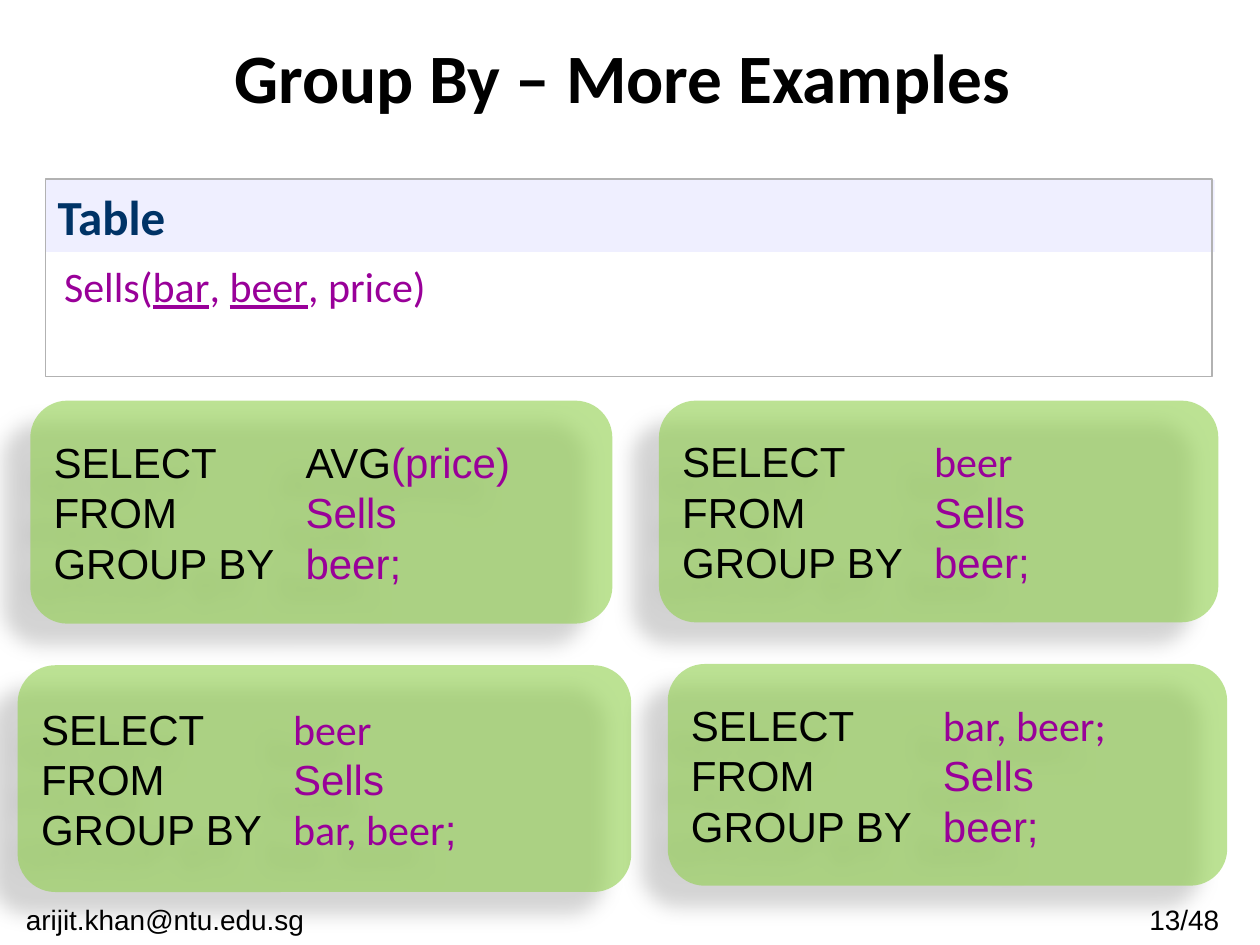
from dataclasses import dataclass

from lxml import etree
from pptx import Presentation
from pptx.dml.color import RGBColor
from pptx.enum.shapes import MSO_SHAPE as Preset
from pptx.enum.text import MSO_ANCHOR as Anchor, PP_ALIGN as Align
from pptx.oxml.ns import qn
from pptx.util import Inches, Pt

BLACK, PURPLE, NAVY = "000000", "990099", "003366"
GREEN, LAVENDER, GREY = "92D050", "EFEFFF", "B2B2B2"
SANS, BODY = "Arial", "Calibri"


@dataclass
class Run:
    text: str
    color: str = PURPLE
    font: str = SANS
    underline: bool = False


@dataclass
class Query:
    box: tuple[float, float, float, float]
    select: list[Run]
    group_by: list[Run]


def rgb(color: str) -> RGBColor:
    return RGBColor.from_string(color)


def write(paragraph, text: str, *, size=24, font=SANS, color=BLACK,
          bold=False, underline=False, align=Align.LEFT) -> None:
    paragraph.alignment = align
    run = paragraph.add_run()
    run.text = text
    run.font.size = Pt(size)
    run.font.name = font
    run.font.bold = bold
    run.font.underline = underline
    run.font.color.rgb = rgb(color)


def write_runs(paragraph, runs: list[Run]) -> None:
    for run in runs:
        write(paragraph, run.text, font=run.font, color=run.color, underline=run.underline)


def add_text_box(slide, box, anchor=Anchor.TOP):
    """Add a wrapping text box and return its first paragraph."""
    frame = slide.shapes.add_textbox(*map(Inches, box)).text_frame
    frame.word_wrap = True
    frame.vertical_anchor = anchor
    return frame.paragraphs[0]


def add_box(slide, preset, box, fill=None, line=None):
    shape = slide.shapes.add_shape(preset, *map(Inches, box))
    shape.shadow.inherit = False
    if fill:
        shape.fill.solid()
        shape.fill.fore_color.rgb = rgb(fill)
    else:
        shape.fill.background()
    if line:
        shape.line.color.rgb = rgb(line)
        shape.line.width = Pt(0.75)
    else:
        shape.line.fill.background()
    return shape


def add_alpha(color_element, percent: int) -> None:
    etree.SubElement(color_element, qn("a:alpha"), val=str(percent * 1000))


def soften(shape) -> None:
    """Make the fill translucent and cast a shadow to the lower left."""
    properties = shape._element.spPr
    add_alpha(properties.find(qn("a:solidFill"))[0], 61)
    shadow = etree.SubElement(
        properties.find(qn("a:effectLst")), qn("a:outerShdw"),
        blurRad=str(Pt(11.8)), dist=str(Pt(19.7)), dir=str(141 * 60000),
        algn="ctr", rotWithShape="0")
    add_alpha(etree.SubElement(shadow, qn("a:srgbClr"), val=BLACK), 28)


def add_tab_stop(paragraph, position: float) -> None:
    tabs = etree.SubElement(paragraph._p.get_or_add_pPr(), qn("a:tabLst"))
    etree.SubElement(tabs, qn("a:tab"), pos=str(Inches(position)), algn="l")


def add_query(slide, query: Query) -> None:
    shape = add_box(slide, Preset.ROUNDED_RECTANGLE, query.box, fill=GREEN)
    soften(shape)
    frame = shape.text_frame
    frame.vertical_anchor = Anchor.MIDDLE
    clauses = [("SELECT", query.select), ("FROM", [Run("Sells")]),
               ("GROUP BY", query.group_by)]
    for index, (keyword, runs) in enumerate(clauses):
        paragraph = frame.add_paragraph() if index else frame.paragraphs[0]
        add_tab_stop(paragraph, 2)
        write_runs(paragraph, [Run(keyword + "\t", BLACK), *runs])


QUERIES = [
    Query((0.24, 3.18, 4.62, 1.77), [Run("AVG", BLACK), Run("(price)")], [Run("beer;")]),
    Query((5.23, 3.18, 4.44, 1.76), [Run("beer", font=BODY)], [Run("beer;")]),
    Query((0.14, 5.28, 4.87, 1.8), [Run("beer", font=BODY)],
          [Run("bar, beer", font=BODY), Run(";")]),
    Query((5.3, 5.27, 4.44, 1.76), [Run("bar, beer;", font=BODY)], [Run("beer;")]),
]
SCHEMA = [Run("Sells(", font=BODY), Run("bar", font=BODY, underline=True),
          Run(", ", font=BODY), Run("beer", font=BODY, underline=True),
          Run(", price)", font=BODY)]
FOOTERS = [("arijit.khan@ntu.edu.sg", (0, 7.11, 2.62, 0.39)),
           ("13/48", (8.82, 7.11, 1.16, 0.39))]


def main() -> None:
    presentation = Presentation()
    presentation.slide_width, presentation.slide_height = Inches(10), Inches(7.5)
    slide = presentation.slides.add_slide(presentation.slide_layouts[6])

    # Title
    write(add_text_box(slide, (0.35, 0.23, 9.18, 0.75), Anchor.MIDDLE),
          "Group By – More Examples", size=39.6, font=BODY, bold=True, align=Align.CENTER)

    # Table schema panel
    header = add_box(slide, Preset.RECTANGLE, (0.36, 1.43, 9.28, 0.57), fill=LAVENDER)
    header.text_frame.vertical_anchor = Anchor.TOP
    write(header.text_frame.paragraphs[0], "Table", size=28, font=BODY, color=NAVY, bold=True)
    add_box(slide, Preset.RECTANGLE, (0.36, 1.42, 9.26, 1.57), line=GREY)
    write_runs(add_text_box(slide, (0.41, 2.02, 9.25, 0.5)), SCHEMA)

    # Example queries
    for query in QUERIES:
        add_query(slide, query)

    # Footer
    for text, box in FOOTERS:
        write(add_text_box(slide, box), text, size=16, align=Align.CENTER)

    presentation.save("out.pptx")


if __name__ == "__main__":
    main()
